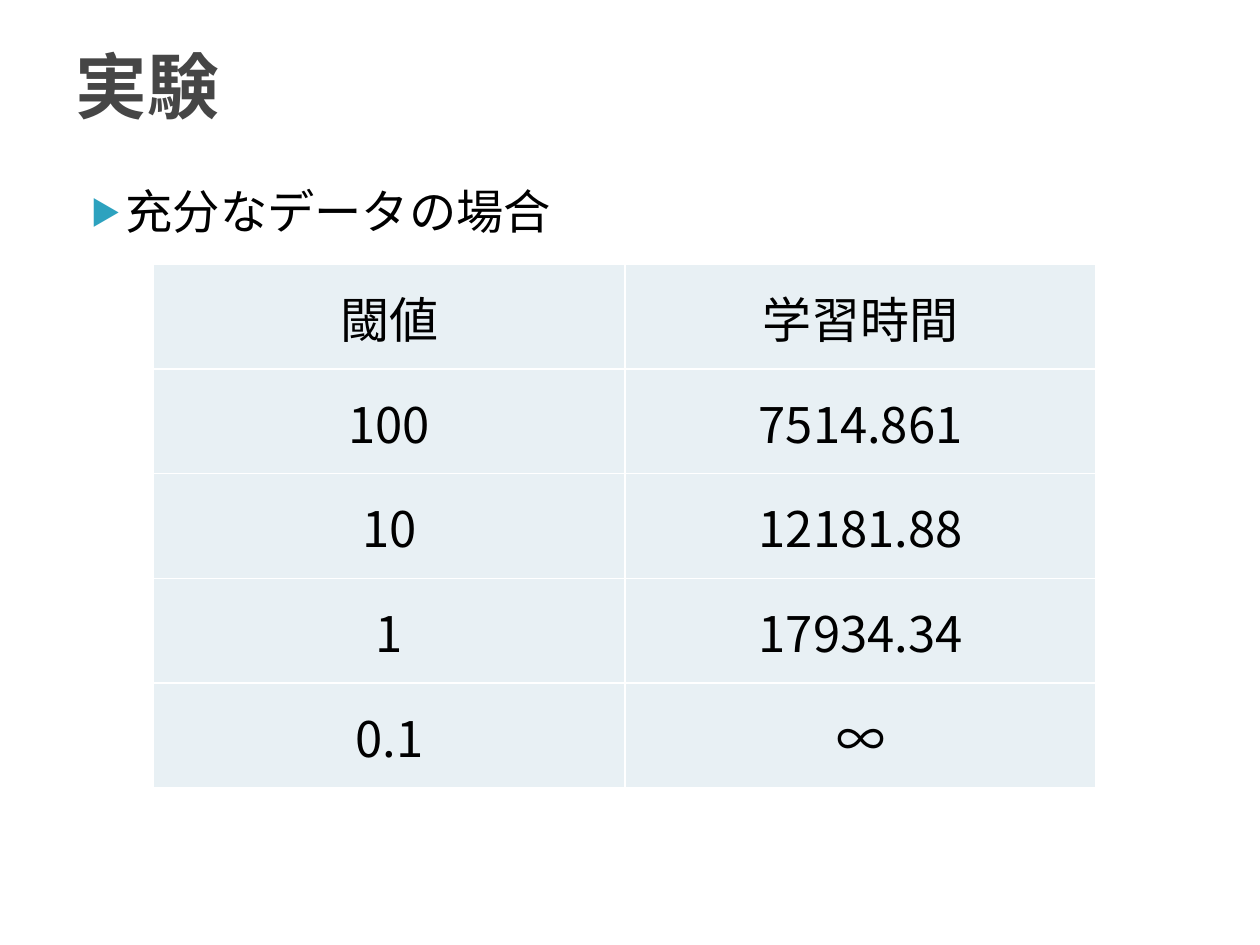
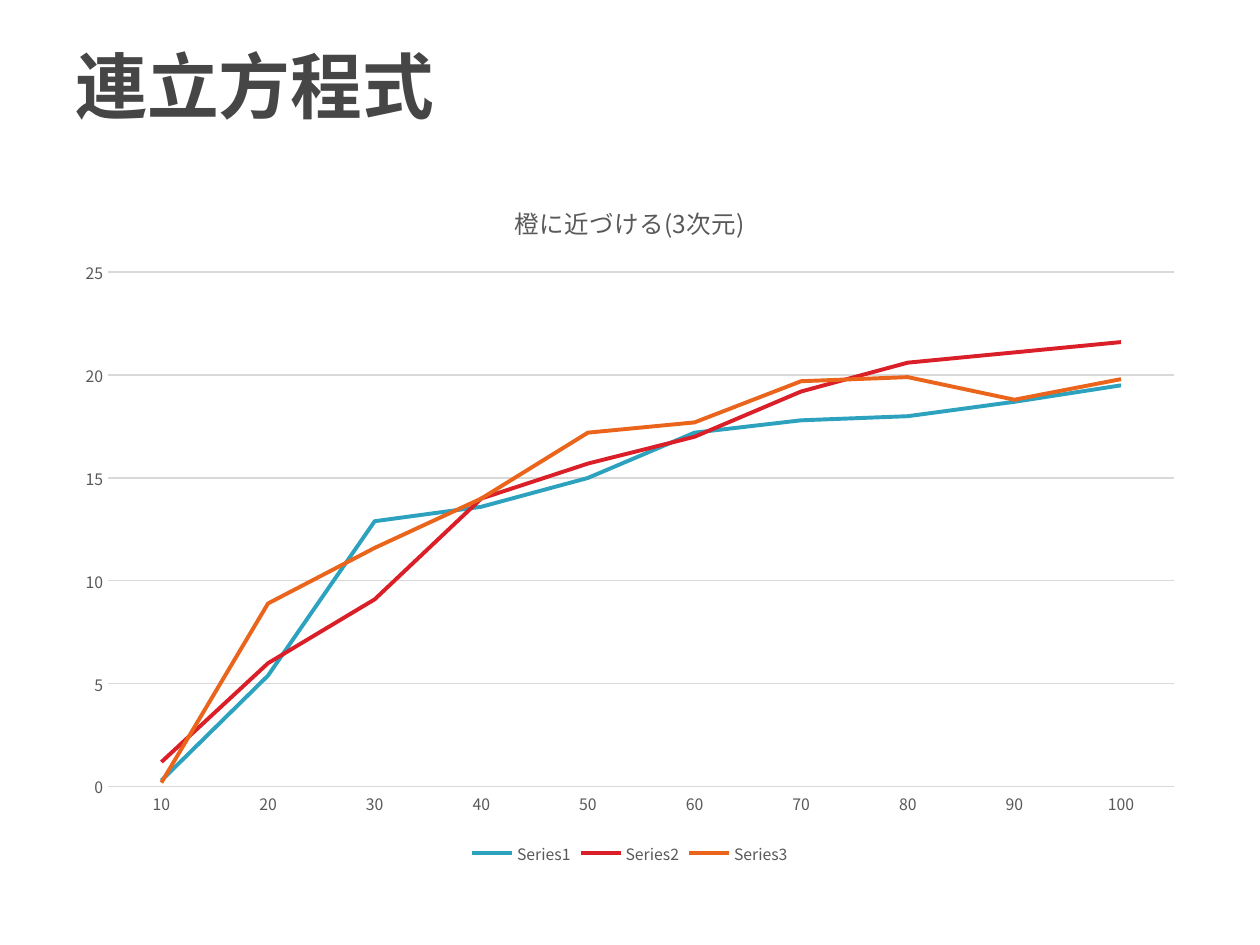
import pptx
import pptx.chart.data
import pptx.dml.color
import pptx.enum.chart
import pptx.enum.text
import pptx.oxml
import pptx.oxml.ns
import pptx.util
from pptx.util import Inches

Pt = pptx.util.Pt
RGBColor = pptx.dml.color.RGBColor
qn = pptx.oxml.ns.qn

FONT = "Noto Sans CJK JP"
BLACK = RGBColor(0x00, 0x00, 0x00)
WHITE = RGBColor(0xFF, 0xFF, 0xFF)
TITLE_GRAY = RGBColor(0x46, 0x46, 0x46)
LABEL_GRAY = RGBColor(0x59, 0x59, 0x59)
GRID_GRAY = RGBColor(0xD9, 0xD9, 0xD9)
CELL_TINT = RGBColor(0xE8, 0xF0, 0xF4)
TEAL = RGBColor(0x2D, 0xA2, 0xBF)
RED = RGBColor(0xDA, 0x1F, 0x28)
ORANGE = RGBColor(0xEB, 0x64, 0x1B)

TITLE_AREA = [Inches(n) for n in (0.5, 0.05, 9, 1.25)]
CONTENT_AREA = [Inches(n) for n in (0.5, 1.4, 9, 5.5)]
TABLE_AREA = [Inches(n) for n in (1.22, 2.1, 7.48, 4.15)]

TRAINING_TIMES = [
    ("閾値", "学習時間"),
    ("100", "7514.861"),
    ("10", "12181.88"),
    ("1", "17934.34"),
    ("0.1", "∞"),
]
DIMENSION_CURVES = [
    ("Series1", TEAL, (0.3, 5.4, 12.9, 13.6, 15, 17.2, 17.8, 18, 18.7, 19.5)),
    ("Series2", RED, (1.2, 6, 9.1, 14, 15.7, 17, 19.2, 20.6, 21.1, 21.6)),
    ("Series3", ORANGE, (0.2, 8.9, 11.6, 14, 17.2, 17.7, 19.7, 19.9, 18.8, 19.8)),
]


def set_attributes(target, formats):
    """Set each named format value on the target."""
    for name, value in formats.items():
        setattr(target, name, value)


def style_font(font, size, color, bold=False):
    """Give a font the deck's typeface with a size, colour and weight."""
    set_attributes(font, {"name": FONT, "size": Pt(size), "bold": bold})
    font.color.rgb = color


def use_font_for_japanese(root):
    """Repeat every Latin typeface as the East Asian typeface."""
    for latin in list(root.iter(qn("a:latin"))):
        east_asian = latin.makeelement(qn("a:ea"), {"typeface": FONT})
        latin.addnext(east_asian)


def add_text(slide, area, text, size, color, anchor, bold=False):
    """Add a wrapped one-paragraph text box and return its paragraph."""
    frame = slide.shapes.add_textbox(*area).text_frame
    set_attributes(frame, {"word_wrap": True, "vertical_anchor": anchor})
    paragraph = frame.paragraphs[0]
    run = paragraph.add_run()
    run.text = text
    style_font(run.font, size, color, bold)
    return paragraph


def add_titled_slide(deck, title):
    """Add a blank slide with the shared title style."""
    slide = deck.slides.add_slide(deck.slide_layouts[6])
    add_text(slide, TITLE_AREA, title, 41, TITLE_GRAY,
             pptx.enum.text.MSO_ANCHOR.MIDDLE, bold=True)
    return slide


def add_bullet(slide, text):
    """Add a body line with a teal triangle bullet."""
    paragraph = add_text(slide, CONTENT_AREA, text, 27, BLACK,
                         pptx.enum.text.MSO_ANCHOR.TOP)
    properties = paragraph._p.get_or_add_pPr()
    properties.set("marL", str(Inches(0.4)))
    properties.set("indent", str(Inches(-0.28)))
    namespace = pptx.oxml.ns.nsdecls("a")
    for element in (
        f'<a:buClr {namespace}><a:srgbClr val="{TEAL}"/></a:buClr>',
        f'<a:buSzPct {namespace} val="65000"/>',
        f'<a:buFont {namespace} typeface="{FONT}"/>',
        f'<a:buChar {namespace} char="▶"/>',
    ):
        properties.append(pptx.oxml.parse_xml(element))


def add_cell_borders(cell):
    """Draw thin white lines on all four sides of a cell."""
    properties = cell._tc.get_or_add_tcPr()
    for side in ("lnL", "lnR", "lnT", "lnB"):
        properties.append(pptx.oxml.parse_xml(
            f'<a:{side} {pptx.oxml.ns.nsdecls("a")} w="{Pt(1)}"><a:solidFill>'
            f'<a:srgbClr val="{WHITE}"/></a:solidFill></a:{side}>'))


def fill_cell(cell, text):
    """Write and style one table cell."""
    add_cell_borders(cell)
    cell.fill.solid()
    cell.fill.fore_color.rgb = CELL_TINT
    margin = Inches(0.01)
    set_attributes(cell, {
        "margin_left": margin, "margin_right": margin, "margin_top": margin,
        "margin_bottom": 0,
        "vertical_anchor": pptx.enum.text.MSO_ANCHOR.MIDDLE,
    })
    paragraph = cell.text_frame.paragraphs[0]
    paragraph.alignment = pptx.enum.text.PP_ALIGN.CENTER
    run = paragraph.add_run()
    run.text = text
    style_font(run.font, 28, BLACK)


def add_time_table(slide, records):
    """Add the evenly divided table of thresholds and training times."""
    table = slide.shapes.add_table(len(records), len(records[0]), *TABLE_AREA).table
    for row, record in enumerate(records):
        for column, text in enumerate(record):
            fill_cell(table.cell(row, column), text)


def style_axis(axis):
    """Give an axis small gray labels and no tick marks."""
    no_tick = pptx.enum.chart.XL_TICK_MARK.NONE
    set_attributes(axis, {"major_tick_mark": no_tick, "minor_tick_mark": no_tick})
    style_font(axis.tick_labels.font, 9, LABEL_GRAY)


def style_line(line, color, width):
    """Set a line's colour and width."""
    line.color.rgb = color
    line.width = Pt(width)


def add_curve_chart(slide, title, curves):
    """Add the line chart of all curves over the steps 10 to 100."""
    chart_data = pptx.chart.data.CategoryChartData()
    chart_data.categories = [str(step) for step in range(10, 101, 10)]
    for name, _, values in curves:
        chart_data.add_series(name, values)
    chart = slide.shapes.add_chart(
        pptx.enum.chart.XL_CHART_TYPE.LINE, *CONTENT_AREA, chart_data).chart
    style_font(chart.font, 10, BLACK)

    heading = chart.chart_title.text_frame.paragraphs[0].add_run()
    heading.text = title
    style_font(heading.font, 14, LABEL_GRAY)
    chart.chart_title.include_in_layout = False

    chart.has_legend = True
    set_attributes(chart.legend, {
        "position": pptx.enum.chart.XL_LEGEND_POSITION.BOTTOM,
        "include_in_layout": False,
    })
    style_font(chart.legend.font, 9, LABEL_GRAY)

    steps, scores = chart.category_axis, chart.value_axis
    for axis in (steps, scores):
        style_axis(axis)
    style_line(steps.format.line, GRID_GRAY, 0.75)
    scores.format.line.fill.background()
    set_attributes(scores, {
        "minimum_scale": 0, "maximum_scale": 25, "major_unit": 5,
        "has_major_gridlines": True,
    })
    style_line(scores.major_gridlines.format.line, GRID_GRAY, 0.75)

    plot = chart.plots[0]
    plot.vary_by_categories = False
    for series, (_, color, _) in zip(plot.series, curves):
        series.smooth = False
        series.marker.style = pptx.enum.chart.XL_MARKER_STYLE.NONE
        style_line(series.format.line, color, 2.25)
    use_font_for_japanese(chart._chartSpace)


def main():
    """Build the experiment and simultaneous-equation slides."""
    deck = pptx.Presentation()
    set_attributes(deck, {"slide_width": Inches(10), "slide_height": Inches(7.5)})

    experiment = add_titled_slide(deck, "実験")
    add_bullet(experiment, "充分なデータの場合")
    add_time_table(experiment, TRAINING_TIMES)

    equations = add_titled_slide(deck, "連立方程式")
    add_curve_chart(equations, "橙に近づける(3次元)", DIMENSION_CURVES)

    for slide in deck.slides:
        use_font_for_japanese(slide._element)
    deck.save("out.pptx")


if __name__ == "__main__":
    main()
